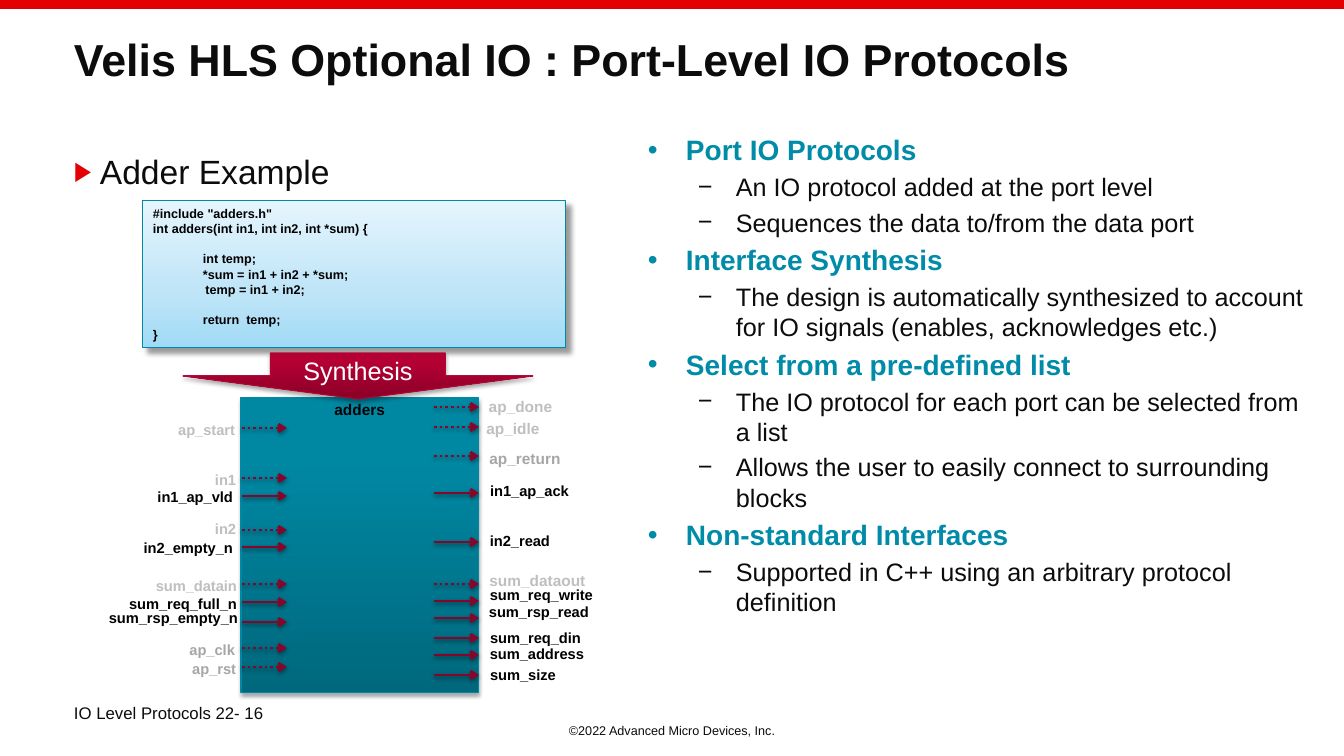
from lxml import etree
from pptx import Presentation
from pptx.dml.color import RGBColor
from pptx.enum.dml import MSO_LINE
from pptx.enum.shapes import MSO_CONNECTOR, MSO_SHAPE
from pptx.enum.text import MSO_ANCHOR, PP_ALIGN
from pptx.oxml.ns import qn
from pptx.util import Pt

INK = RGBColor(0x0C, 0x0C, 0x0C)
BLACK = RGBColor(0, 0, 0)
WHITE = RGBColor(0xFF, 0xFF, 0xFF)
PALE = RGBColor(0xBF, 0xBF, 0xBF)
GREY = RGBColor(0xA6, 0xA6, 0xA6)
RED = RGBColor(0xE2, 0x00, 0x00)
TEAL = RGBColor(0x00, 0x8C, 0xA8)
TEAL_EDGE = RGBColor(0x00, 0x89, 0xA4)
WINE = RGBColor(0x85, 0x06, 0x2A)
WINE_EDGE = RGBColor(0xB2, 0x04, 0x35)

BLOCK_GRADIENT = [(0, RGBColor(0x00, 0x68, 0x7D)), (80, RGBColor(0x00, 0x88, 0xA3)),
                  (100, RGBColor(0x00, 0x88, 0xA4))]
CODE_GRADIENT = [(0, RGBColor(0xA0, 0xDA, 0xF6)), (35, RGBColor(0xBD, 0xE4, 0xF7)),
                 (100, RGBColor(0xE5, 0xF5, 0xFD))]
SYNTHESIS_GRADIENT = [(0, RGBColor(0x8B, 0x00, 0x27)), (80, RGBColor(0xB4, 0x00, 0x33)),
                      (100, RGBColor(0xB5, 0x00, 0x33))]
BLOCK_SHADOW = (35, 3.1, 1.8, 90)
CODE_SHADOW = (40, 4, 5, 45)
ARROW_SHADOW = (38, 3.1, 1.6, 90)

TITLE = "Velis HLS Optional IO : Port-Level IO Protocols"
EXAMPLE = "Adder Example"
FOOTER = "IO Level Protocols 22- 16"
COPYRIGHT = "©2022 Advanced Micro Devices, Inc."

TOPICS = [
    ("Port IO Protocols", ["An IO protocol added at the port level",
                           "Sequences the data to/from the data port"]),
    ("Interface Synthesis", ["The design is automatically synthesized to account "
                             "for IO signals (enables, acknowledges etc.)"]),
    ("Select from a pre-defined list", ["The IO protocol for each port can be selected from a list",
                                        "Allows the user to easily connect to surrounding blocks"]),
    ("Non-standard Interfaces", ["Supported in C++ using an arbitrary protocol definition"]),
]

CODE_GROUPS = [
    ['#include "adders.h"', "int adders(int in1, int in2, int *sum) {"],
    ["\tint temp;", "\t*sum = in1 + in2 + *sum;", "               temp = in1 + in2;"],
    ["\treturn  temp;", "}"],
]

INPUTS = [
    ("ap_start", 166, 416, 79, 428, PALE),
    ("in1", 205, 466, 41, 478, PALE),
    ("in1_ap_vld", 146, 483, 97, 496, BLACK),
    ("in2", 205, 515, 41, 530, PALE),
    ("in2_empty_n", 132, 534, 111, 547, BLACK),
    ("sum_datain", 144, 572, 103, 584, PALE),
    ("sum_req_full_n", 117, 590, 130, 602, BLACK),
    ("sum_rsp_empty_n", 96, 604, 152, 622, BLACK),
    ("ap_clk", 178, 636, 67, 648, GREY),
    ("ap_rst", 180, 655, 66, 667, GREY),
]
OUTPUTS = [
    ("ap_done", 478, 392, 85, 407, PALE),
    ("ap_idle", 476, 414, 74, 427, PALE),
    ("ap_return", 479, 444, 92, 456, GREY),
    ("in1_ap_ack", 479, 477, 101, 493, BLACK),
    ("in2_read", 479, 527, 82, 542, BLACK),
    ("sum_dataout", 479, 566, 117, 584, PALE),
    ("sum_req_write", 479, 581, 125, 601, BLACK),
    ("sum_rsp_read", 478, 598, 122, 618, BLACK),
    ("sum_req_din", 479, 624, 113, 638, BLACK),
    ("sum_address", 479, 640, 116, 655, BLACK),
    ("sum_size", 479, 661, 88, 675, BLACK),
]
INPUT_X, OUTPUT_X, ARROW_LENGTH = 242, 434, 45
LABEL_HEIGHT = 28


def px(n):
    return round(n * 914400 / 100.8)


def sub(parent, tag, **attrs):
    return etree.SubElement(parent, qn(tag), {k: str(v) for k, v in attrs.items()})


def write(paragraph, text, size, color, bold=False, align=PP_ALIGN.LEFT):
    paragraph.add_run().text = text
    paragraph.alignment = align
    font = paragraph.font
    font.name, font.size, font.bold = "Arial", Pt(size), bold
    font.color.rgb = color


def add_text(box, text, size, color, bold=False, align=PP_ALIGN.LEFT, wrap=True):
    frame = slide.shapes.add_textbox(*map(px, box)).text_frame
    frame.word_wrap = wrap
    write(frame.paragraphs[0], text, size, color, bold, align)
    return frame.paragraphs[0]


def add_bullet(paragraph, char, margin, hang, color=None, percent=100):
    props = paragraph._p.get_or_add_pPr()
    props.set("marL", str(px(margin)))
    props.set("indent", str(-px(hang)))
    if color is not None:
        sub(sub(props, "a:buClr"), "a:srgbClr", val=color)
    sub(props, "a:buSzPct", val=percent * 1000)
    sub(props, "a:buFont", typeface="Arial")
    sub(props, "a:buChar", char=char)


def add_shadow(shape, shadow):
    alpha, blur, distance, angle = shadow
    effects = sub(shape._element.spPr, "a:effectLst")
    outer = sub(effects, "a:outerShdw", blurRad=Pt(blur), dist=Pt(distance),
                dir=angle * 60000, rotWithShape=0)
    sub(sub(outer, "a:srgbClr", val=BLACK), "a:alpha", val=alpha * 1000)


def add_panel(kind, box, gradient, edge, shadow):
    panel = slide.shapes.add_shape(kind, *map(px, box))
    panel.fill.gradient()
    panel.fill.gradient_angle = 90
    stops = panel._element.spPr.find(".//" + qn("a:gsLst"))
    stops.clear()
    for position, color in gradient:
        sub(sub(stops, "a:gs", pos=position * 1000), "a:srgbClr", val=color)
    panel.line.color.rgb = edge
    panel.line.width = Pt(0.75)
    add_shadow(panel, shadow)
    panel.text_frame.word_wrap = True
    return panel


def add_port(port, arrow_x, align, muted_size):
    name, left, top, width, arrow_y, color = port
    size = 10.5 if color == BLACK else muted_size
    add_text((left, top, width, LABEL_HEIGHT), name, size, color, True, align, False)
    arrow = slide.shapes.add_connector(MSO_CONNECTOR.STRAIGHT, px(arrow_x), px(arrow_y),
                                       px(arrow_x + ARROW_LENGTH), px(arrow_y))
    arrow.line.color.rgb = WINE
    arrow.line.width = Pt(2)
    if color != BLACK:
        arrow.line.dash_style = MSO_LINE.ROUND_DOT
    sub(arrow.line._get_or_add_ln(), "a:tailEnd", type="arrow")
    add_shadow(arrow, ARROW_SHADOW)


prs = Presentation()
prs.slide_width, prs.slide_height = px(1344), px(756)
slide = prs.slides.add_slide(prs.slide_layouts[6])

add_text((0, 718, 1344, 25), COPYRIGHT, 9, INK, align=PP_ALIGN.CENTER)
banner = slide.shapes.add_shape(MSO_SHAPE.RECTANGLE, 0, 0, px(1344), px(9))
banner.shadow.inherit = False
banner.fill.solid()
banner.fill.fore_color.rgb = RED
banner.line.fill.background()

add_text((64, 33, 1217, 108), TITLE, 32, INK, True).line_spacing = 0.9
example = slide.shapes.add_textbox(*map(px, (64, 146, 1217, 511))).text_frame
example.word_wrap = True
add_bullet(example.paragraphs[0], "▶", 26, 26, RED, 80)
write(example.paragraphs[0], EXAMPLE, 24, INK)
add_text((64, 698, 243, 40), FOOTER, 12, INK)

topics = slide.shapes.add_textbox(*map(px, (638, 128, 678, 580))).text_frame
topics.word_wrap = True
lines = [line for heading, points in TOPICS
         for line in [(heading, 0)] + [(point, 1) for point in points]]
for i, (text, level) in enumerate(lines):
    paragraph = topics.add_paragraph() if i else topics.paragraphs[0]
    size, color = (18, INK) if level else (20, TEAL)
    paragraph.level = level
    if i:
        paragraph.space_before = Pt(size * 0.2)
    add_bullet(paragraph, "−" if level else "•", 88 if level else 38, 38)
    write(paragraph, text, size, color, bold=not level)

add_panel(MSO_SHAPE.RECTANGLE, (241, 398, 238, 295), BLOCK_GRADIENT, TEAL_EDGE, BLOCK_SHADOW)
for port in INPUTS:
    add_port(port, INPUT_X, PP_ALIGN.RIGHT, 10.5)
for port in OUTPUTS:
    add_port(port, OUTPUT_X, PP_ALIGN.CENTER, 11)
add_text((323, 395, 72, 29), "adders", 11, BLACK, True, PP_ALIGN.RIGHT, False)

code = add_panel(MSO_SHAPE.RECTANGLE, (143, 201, 423, 147), CODE_GRADIENT, TEAL_EDGE, CODE_SHADOW)
code.text_frame.vertical_anchor = MSO_ANCHOR.TOP
for g, group in enumerate(CODE_GROUPS):
    for i, text in enumerate(group):
        paragraph = code.text_frame.add_paragraph() if g or i else code.text_frame.paragraphs[0]
        if g and not i:
            paragraph.space_before = Pt(10.8)
        sub(sub(paragraph._p.get_or_add_pPr(), "a:tabLst"), "a:tab", pos=px(50), algn="l")
        write(paragraph, text, 9, BLACK, True)

synthesis = add_panel(MSO_SHAPE.DOWN_ARROW, (183, 353, 350, 46), SYNTHESIS_GRADIENT,
                      WINE_EDGE, BLOCK_SHADOW)
synthesis.text_frame.vertical_anchor = MSO_ANCHOR.MIDDLE
write(synthesis.text_frame.paragraphs[0], "Synthesis", 18, WHITE, align=PP_ALIGN.CENTER)

prs.save("out.pptx")
